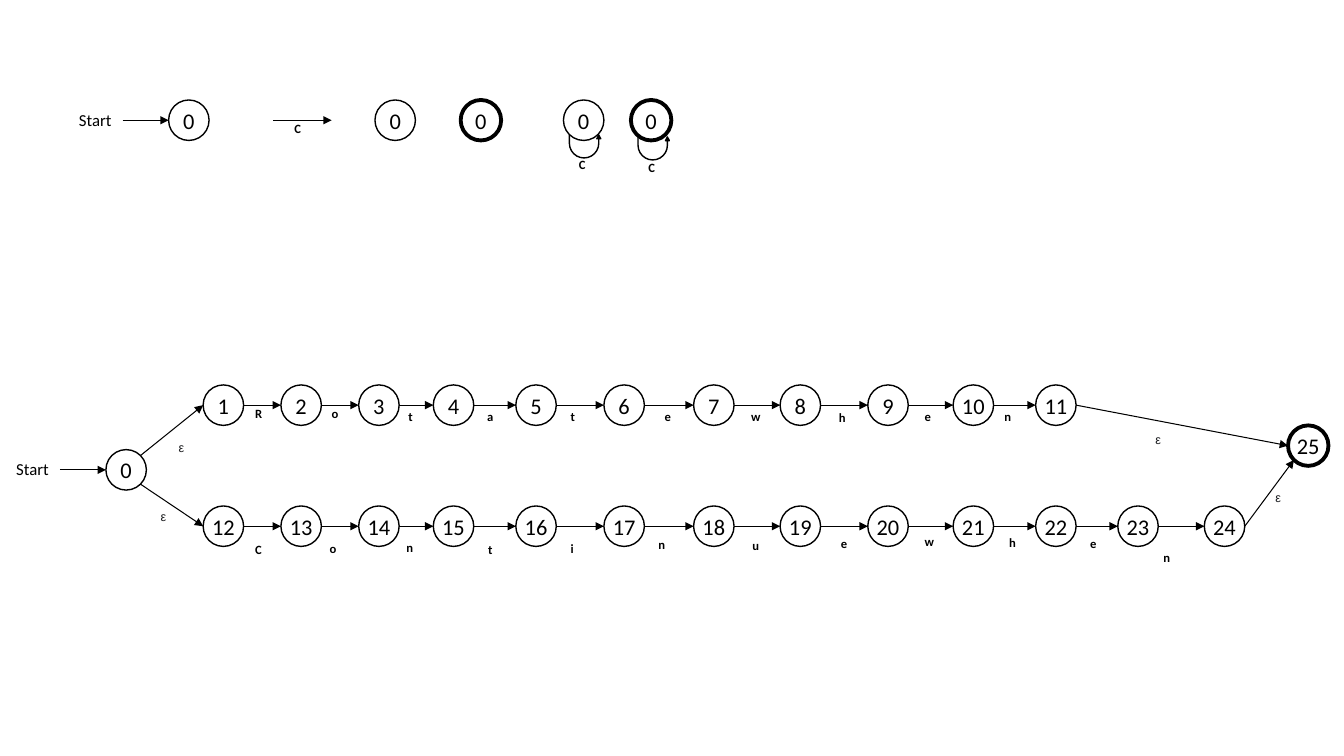
from math import sqrt

from lxml import etree
from pptx import Presentation
from pptx.dml.color import RGBColor
from pptx.enum.shapes import MSO_CONNECTOR, MSO_SHAPE
from pptx.enum.text import MSO_ANCHOR, MSO_AUTO_SIZE, PP_ALIGN
from pptx.oxml.ns import qn
from pptx.util import Cm, Pt

OVAL, TURN = MSO_SHAPE.OVAL, MSO_SHAPE.U_TURN_ARROW
LINE = MSO_CONNECTOR.STRAIGHT
MID, MIDDLE = PP_ALIGN.CENTER, MSO_ANCHOR.MIDDLE
GROW = MSO_AUTO_SIZE.SHAPE_TO_FIT_TEXT

# Content, lengths in cm
SLIDE = (33.87, 19.05)
SIZE = 1.02
COLS = [5.12, 7.08, 9.04, 10.92, 13, 15.22, 17.48, 19.66, 21.87,
        24.02, 26.1, 28.17, 30.35]
FIRST, LAST = (2.67, 11.33), (32.46, 10.72)

# Each word: first state, top, then its letters with their places
WORDS = [
    (1, 9.7, [
        ("R", 6.27, 10.11), ("o", 8.2, 10.11), ("t", 10.13, 10.19),
        ("a", 12.12, 10.19), ("t", 14.22, 10.19), ("e", 16.59, 10.19),
        ("w", 18.77, 10.19), ("h", 20.98, 10.21), ("e", 23.14, 10.19),
        ("n", 25.15, 10.19)]),
    (12, 12.75, [
        ("C", 6.27, 13.54), ("o", 8.15, 13.51), ("n", 10.08, 13.49),
        ("t", 12.14, 13.54), ("i", 14.22, 13.51), ("n", 16.43, 13.41),
        ("u", 18.8, 13.44), ("e", 21.03, 13.39), ("w", 23.14, 13.34),
        ("h", 25.27, 13.36), ("e", 27.31, 13.39), ("n", 29.16, 13.74)]),
]
EMPTY = [(4.34, 10.97), (3.89, 12.7), (28.96, 10.77), (31.98, 12.22)]

KEY_TOP = 2.52
KEY = [(4.25, False), (9.45, False), (11.61, True), (14.2, False), (15.9, True)]
KEY_ARROW = ((6.88, 3.03), (8.36, 3.03))
KEY_TEXT = [(7.26, 2.92), (14.43, 3.84), (16.18, 3.91)]
LOOPS = [(14.35, 3.4), (16.08, 3.45)]
BEND = [0, 0.085, 0.164, 0.717, 1]

BLACK = RGBColor(0, 0, 0)
THEME = {
    "ink": BLACK,
    "thin": Pt(0.75), "ring": Pt(1), "bold": Pt(2.75),
    "state": {"name": "Calibri", "size": Pt(16)},
    "start": {"name": "Calibri", "size": Pt(12)},
    "mark": {"name": "Calibri", "size": Pt(9), "bold": True},
    "empty": {"name": "Arial", "size": Pt(9)},
}
TINT = {"empty": RGBColor(0x20, 0x21, 0x24)}

deck = Presentation()
deck.slide_width, deck.slide_height = map(Cm, SLIDE)
shapes = deck.slides.add_slide(deck.slide_layouts[6]).shapes


def write(frame, text, style):
    para = frame.paragraphs[0]
    run = para.add_run()
    run.text = text
    for key, value in THEME[style].items():
        setattr(run.font, key, value)
    run.font.color.rgb = TINT.get(style, THEME["ink"])
    return para


def label(text, x, y, style, size=(0.41, 0.64)):
    frame = shapes.add_textbox(*map(Cm, (x, y, *size))).text_frame
    frame.word_wrap = True
    frame.auto_size = GROW
    write(frame, text, style)


def outline(shape, width):
    shape.shadow.inherit = False
    shape.line.color.rgb = THEME["ink"]
    shape.line.width = width


def state(text, x, y, final=False):
    ring = shapes.add_shape(OVAL, *map(Cm, (x, y, SIZE, SIZE)))
    ring.fill.background()
    outline(ring, THEME["bold" if final else "ring"])
    frame = ring.text_frame
    for side in ("left", "top", "right", "bottom"):
        setattr(frame, "margin_" + side, 0)
    frame.vertical_anchor = MIDDLE
    write(frame, text, "state").alignment = MID


def site(spot, dx, dy):
    """Point on a state's ring in the direction dx, dy."""
    reach = SIZE / 2 / sqrt(dx * dx + dy * dy)
    return spot[0] + SIZE / 2 + dx * reach, spot[1] + SIZE / 2 + dy * reach


def arrow(start, end):
    link = shapes.add_connector(LINE, *map(Cm, (*start, *end)))
    link.line.color.rgb = THEME["ink"]
    link.line.width = THEME["thin"]
    etree.SubElement(link.line._get_or_add_ln(), qn("a:tailEnd"), type="triangle")
    etree.SubElement(link._element.spPr, qn("a:effectLst"))


def entry(x, y):
    label("Start", x - 2.51, y + 0.11, "start", (1.35, 0.76))
    end = site((x, y), -1, 0)
    arrow((end[0] - 1.16, end[1]), end)


def loop(x, y):
    turn = shapes.add_shape(TURN, *map(Cm, (x, y, 0.79, 0.58)))
    for spot, value in enumerate(BEND):
        turn.adjustments[spot] = value
    turn.rotation = 180
    turn._element.spPr.find(qn("a:xfrm")).set("flipH", "1")
    turn.fill.solid()
    turn.fill.fore_color.rgb = THEME["ink"]
    outline(turn, THEME["ring"])


# Key of symbols
entry(KEY[0][0], KEY_TOP)
arrow(*KEY_ARROW)
for x, final in KEY:
    state("0", x, KEY_TOP, final)
for spot in LOOPS:
    loop(*spot)
for spot in KEY_TEXT:
    label("C", *spot, "mark")

# First and last state
entry(*FIRST)
state("0", *FIRST)
state("25", *LAST, True)

# One chain of states per word
for number, top, marks in WORDS:
    spots = [(x, top) for x in COLS[:len(marks) + 1]]
    for step, spot in enumerate(spots):
        state(str(number + step), *spot)
    for left, right in zip(spots, spots[1:]):
        arrow(site(left, 1, 0), site(right, -1, 0))
    for mark in marks:
        label(*mark, "mark")
    upper = top < LAST[1]
    arrow(site(FIRST, 1, -1 if upper else 1), site(spots[0], -1, 0))
    arrow(site(spots[-1], 1, 0), site(LAST, -1, 0 if upper else 1))

# Empty moves
for spot in EMPTY:
    label("ε", *spot, "empty")

deck.save("out.pptx")
